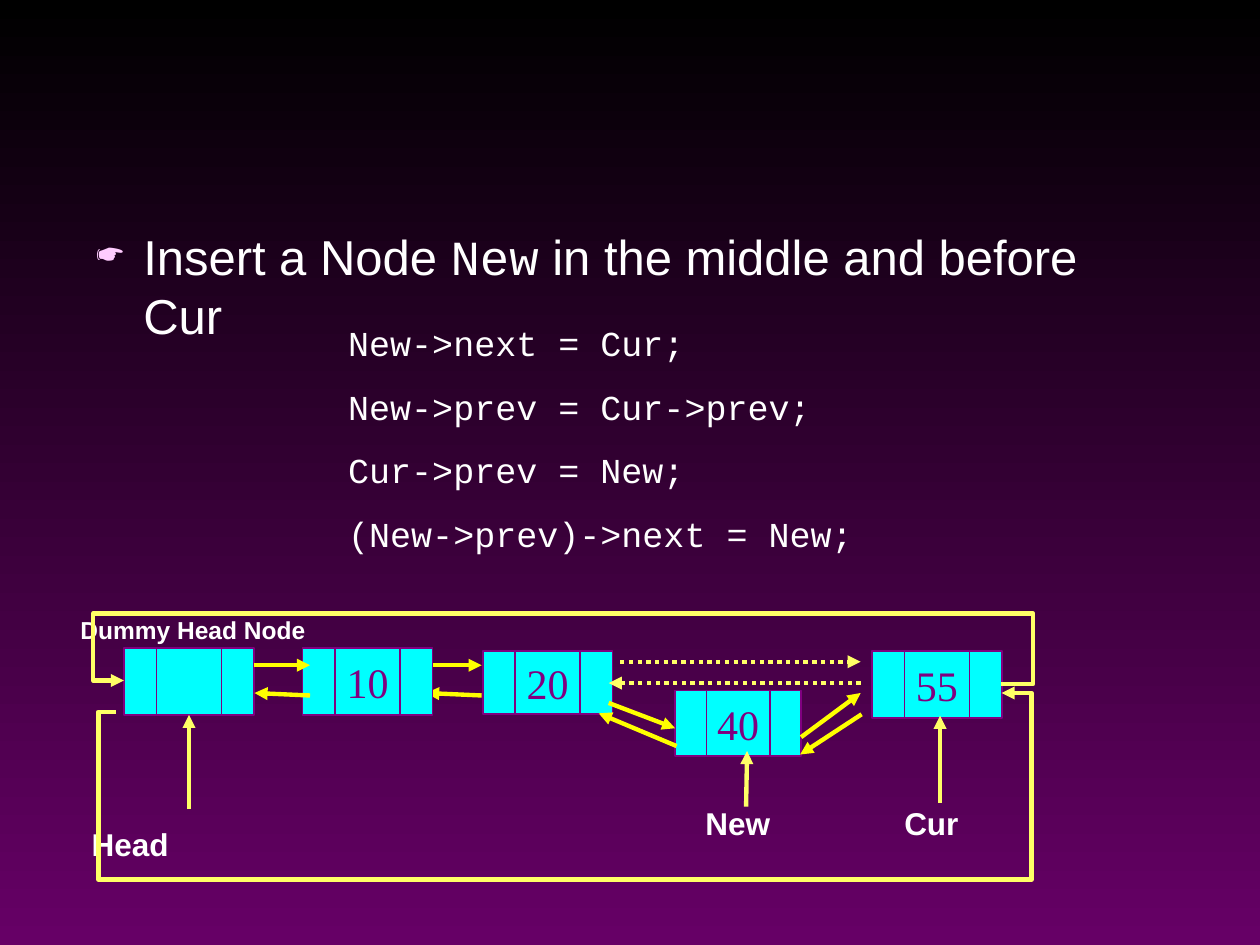
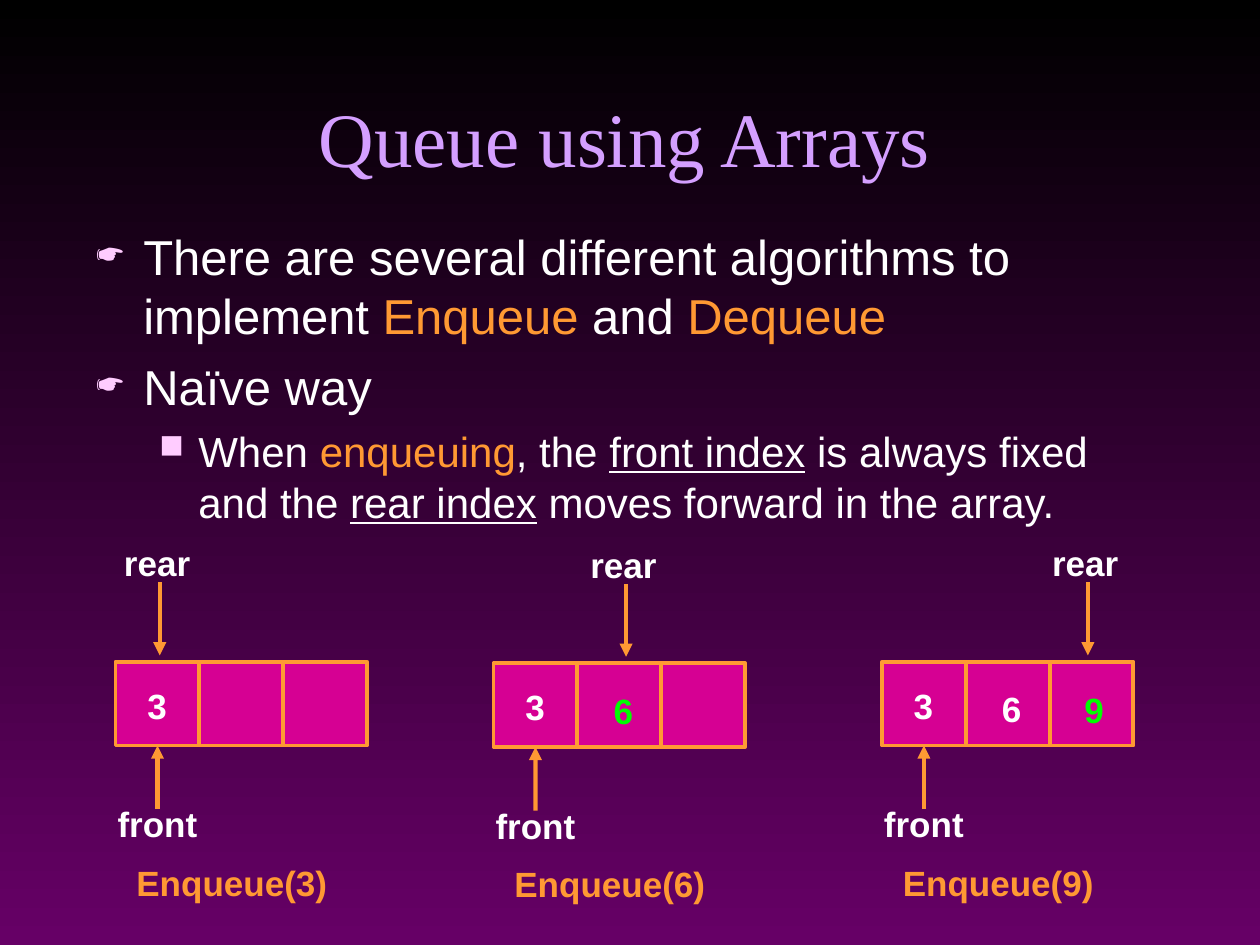
from lxml import etree
from pptx import Presentation
from pptx.dml.color import RGBColor
from pptx.enum import dml, shapes, text
from pptx.oxml import ns
from pptx.util import Cm, Pt

BLACK = RGBColor(0x00, 0x00, 0x00)
PLUM = RGBColor(0x66, 0x00, 0x66)
WHITE = RGBColor(0xFF, 0xFF, 0xFF)
LILAC = RGBColor(0xD4, 0x9F, 0xFF)
PINK = RGBColor(0xFF, 0xCC, 0xFF)
CYAN = RGBColor(0x00, 0xFF, 0xFF)
PURPLE = RGBColor(0x80, 0x00, 0x80)
YELLOW = RGBColor(0xFF, 0xFF, 0x00)
PALE_YELLOW = RGBColor(0xFF, 0xFF, 0x66)
MAGENTA = RGBColor(0xD6, 0x00, 0x93)
ORANGE = RGBColor(0xFF, 0x99, 0x33)
GREEN = RGBColor(0x00, 0xFF, 0x00)

SANS, SERIF, MONO = "Arial", "Times New Roman", "Courier New"
TITLE = {"name": SERIF, "size": Pt(44), "color": LILAC}
CODE = {"name": MONO, "size": Pt(20), "color": WHITE}
NODE_TEXT = {"name": SERIF, "size": Pt(24), "color": PURPLE}
LABEL = {"name": SANS, "size": Pt(18), "color": WHITE, "bold": True}
SMALL_LABEL = {**LABEL, "size": Pt(14)}
QUEUE_LABEL = {**LABEL, "size": Pt(20)}
CAPTION = {**QUEUE_LABEL, "color": ORANGE}
KEYWORD = {"color": ORANGE}
UNDERLINED = {"underline": True}

# Font size, space before, left margin, hanging indent, bullet, bullet size
BULLET_LEVELS = [
    (28, 7, 0.95, 0.95, "☛", 75),
    (24, 6, 2.06, 0.79, "■", 80),
]


def add_page(deck):
    page = deck.slides.add_slide(deck.slide_layouts[6])
    fill = page.background.fill
    fill.gradient()
    fill.gradient_angle = 270
    for stop, color in zip(fill.gradient_stops, (BLACK, PLUM)):
        stop.color.rgb = color
    return page


def add_span(para, words, formats):
    span = para.add_run()
    span.text = words
    for name, value in formats.items():
        if name == "color":
            span.font.color.rgb = value
        else:
            setattr(span.font, name, value)


def add_text(page, left, top, width, height, lines=(), formats=None, gap=0):
    """Add a wrapping text box with one paragraph per line."""
    box = page.shapes.add_textbox(Cm(left), Cm(top), Cm(width), Cm(height))
    frame = box.text_frame
    frame.word_wrap = True
    for index, line in enumerate(lines):
        para = frame.add_paragraph() if index else frame.paragraphs[0]
        if index:
            para.space_before = Pt(gap)
        add_span(para, line, formats)
    return frame


def add_title(page, words):
    frame = add_text(page, 1.69, 0.64, 21.8, 3.18, [words], TITLE)
    frame.vertical_anchor = text.MSO_ANCHOR.BOTTOM
    frame.paragraphs[0].alignment = text.PP_ALIGN.CENTER


def add_bullets(page, height, items):
    """Each item is a level and a list of (words, special formats)."""
    frame = add_text(page, 1.69, 4.44, 21.8, height)
    for index, (level, spans) in enumerate(items):
        size, gap, margin, hanging, mark, percent = BULLET_LEVELS[level]
        para = frame.add_paragraph() if index else frame.paragraphs[0]
        para.level = level
        if index:
            para.space_before = Pt(gap)
        props = para._p.get_or_add_pPr()
        props.set("marL", str(Cm(margin)))
        props.set("indent", str(-Cm(hanging)))
        color = etree.SubElement(props, ns.qn("a:buClr"))
        etree.SubElement(color, ns.qn("a:srgbClr"), val=str(PINK))
        etree.SubElement(props, ns.qn("a:buSzPct"), val=str(percent * 1000))
        etree.SubElement(props, ns.qn("a:buChar"), char=mark)
        base = {"name": SANS, "size": Pt(size), "color": WHITE}
        for words, special in spans:
            add_span(para, words, {**base, **special})


def add_cell(page, left, top, width, height, fill, line, weight):
    cell = page.shapes.add_shape(shapes.MSO_SHAPE.RECTANGLE, Cm(left), Cm(top),
                                 Cm(width), Cm(height))
    cell.shadow.inherit = False
    cell.fill.solid()
    cell.fill.fore_color.rgb = fill
    cell.line.color.rgb = line
    cell.line.width = Pt(weight)
    return cell


def add_arrow(page, start, end, color, dotted=False,
              kind=shapes.MSO_CONNECTOR.STRAIGHT):
    points = [Cm(value) for value in (*start, *end)]
    arrow = page.shapes.add_connector(kind, *points)
    arrow.line.color.rgb = color
    arrow.line.width = Pt(2.5)
    if dotted:
        arrow.line.dash_style = dml.MSO_LINE.ROUND_DOT
    etree.SubElement(arrow.line._get_or_add_ln(), ns.qn("a:tailEnd"), type="triangle")
    etree.SubElement(arrow._element.spPr, ns.qn("a:effectLst"))
    return arrow


def add_loop(page, start, end, first_x, middle_y, last_x):
    """Add a five-part elbow arrow that runs round the list."""
    arrow = add_arrow(page, start, end, PALE_YELLOW, kind=shapes.MSO_CONNECTOR.ELBOW)
    props = arrow._element.spPr
    if start[0] < end[0]:
        # A half turn plus a horizontal flip equals the vertical flip
        frame = props.find(ns.qn("a:xfrm"))
        frame.attrib.pop("flipV", None)
        frame.set("rot", "10800000")
        frame.set("flipH", "1")
    geometry = props.find(ns.qn("a:prstGeom"))
    geometry.set("prst", "bentConnector5")
    guides = geometry.find(ns.qn("a:avLst"))
    bends = [(first_x, 0), (middle_y, 1), (last_x, 0)]
    for number, (place, axis) in enumerate(bends, 1):
        share = (place - start[axis]) / (end[axis] - start[axis])
        etree.SubElement(guides, ns.qn("a:gd"), name=f"adj{number}",
                         fmla=f"val {round(share * 100000)}")


def add_node(page, left, top, value="", width=2.62, height=1.35):
    """Add a list node of two link cells round a value cell, and return the latter."""
    quarter = width / 4
    middle = add_cell(page, left + quarter, top, 2 * quarter, height, CYAN, PURPLE, 1)
    for offset in (0, 3 * quarter):
        add_cell(page, left + offset, top, quarter, height, CYAN, PURPLE, 1)
    if value:
        frame = middle.text_frame
        frame.word_wrap = False
        frame.vertical_anchor = text.MSO_ANCHOR.MIDDLE
        frame.paragraphs[0].alignment = text.PP_ALIGN.CENTER
        add_span(frame.paragraphs[0], value, NODE_TEXT)
    return middle


def add_link_pair(page, left, top):
    right = left + 1.12
    add_arrow(page, (left, top), (right, top), YELLOW)
    add_arrow(page, (right, top + 0.61), (left, top + 0.56), YELLOW)


def add_linked_list(page, left, top):
    def at(x, y):
        return left + x, top + y

    def label(x, y, width, words, formats=LABEL):
        add_text(page, *at(x, y), width, 1.02, [words], formats)

    add_node(page, *at(15.08, 0.78), "55")
    add_link_pair(page, *at(6.09, 1.06))
    add_node(page, *at(3.6, 0.71), "10")
    dummy = add_node(page, *at(0, 0.71))
    add_link_pair(page, *at(2.63, 1.06))
    label(-0.9, 4.16, 3.96, "Head")
    head = add_arrow(page, at(1.31, 3.96), at(1.31, 2.06), PALE_YELLOW)
    head.end_connect(dummy, 2)
    label(-1.13, -0.08, 6.96, "Dummy Head Node", SMALL_LABEL)

    add_loop(page, at(17.69, 1.44), at(0, 1.37), left + 18.33, top + 0.02, left - 0.62)
    add_loop(page, at(-0.16, 2), at(17.69, 1.62), left - 0.52, top + 5.38, left + 18.3)

    add_node(page, *at(7.23, 0.78), "20", height=1.27)
    add_arrow(page, at(10, 0.99), at(14.85, 0.99), PALE_YELLOW, dotted=True)
    add_arrow(page, at(14.85, 1.42), at(9.77, 1.42), PALE_YELLOW, dotted=True)
    add_node(page, *at(11.11, 1.57), "40", 2.54, 1.32)
    new_links = [
        ((9.77, 1.82), (11.11, 2.33)),
        ((11.14, 2.69), (9.57, 2.03)),
        ((13.65, 2.51), (14.85, 1.62)),
        ((14.87, 2.05), (13.63, 2.86)),
    ]
    for start, end in new_links:
        add_arrow(page, at(*start), at(*end), YELLOW)

    label(15.48, 3.73, 2.21, "Cur")
    add_arrow(page, at(16.45, 3.83), at(16.45, 2.08), PALE_YELLOW)
    label(11.47, 3.73, 3.02, "New")
    add_arrow(page, at(12.54, 3.91), at(12.56, 2.79), PALE_YELLOW)


def add_queue(page, left, top, values, rear):
    """Draw a three-cell queue after its last value has been added."""
    side = 1.69
    cells = [add_cell(page, left + side * index, top, side, side, MAGENTA, ORANGE, 2.25)
             for index in range(3)]
    middle = left + side / 2
    add_text(page, left - 0.21, top + 2.72, 2.74, 1.12, ["front"], QUEUE_LABEL)
    front = add_arrow(page, (middle, top + 2.97), (middle, top + side), ORANGE)
    front.end_connect(cells[0], 2)
    pointer = left + rear
    add_text(page, pointer - 0.97, top - 2.54, 2.74, 1.12, ["rear"], QUEUE_LABEL)
    add_arrow(page, (pointer, top - 1.6), (pointer, top - 0.13), ORANGE)
    add_text(page, left + 0.17, top + 3.9, 4.9, 1.12, [f"Enqueue({values[-1]})"], CAPTION)
    offsets = [(0.39, 0.33), (2.17, 0.4), (3.83, 0.41)]
    for index, (value, (x, y)) in enumerate(zip(values, offsets)):
        newest = 0 < index == len(values) - 1
        formats = {**QUEUE_LABEL, "color": GREEN if newest else WHITE}
        add_text(page, left + x, top + y, 0.84, 1.12, [value], formats)


def build_insert_page(deck):
    page = add_page(deck)
    add_bullets(page, 11.43, [
        (0, [("Insert a Node ", {}), ("New", {"name": MONO}),
             (" in the middle and before Cur", {})]),
    ])
    add_text(page, 6.77, 6.35, 12.7, 4.98, [
        "New->next = Cur;",
        "New->prev = Cur->prev;",
        "Cur->prev = New;",
        "(New->prev)->next = New;",
    ], CODE, gap=12.5)
    add_linked_list(page, 2.5, 12.35)


def build_queue_page(deck):
    page = add_page(deck)
    add_title(page, "Queue using Arrays")
    add_bullets(page, 6.99, [
        (0, [("There are several different algorithms to implement ", {}),
             ("Enqueue", KEYWORD), (" and ", {}), ("Dequeue", KEYWORD)]),
        (0, [("Naïve way", {})]),
        (1, [("When ", {}), ("enqueuing", KEYWORD), (", the ", {}),
             ("front index", UNDERLINED), (" is always fixed and the ", {}),
             ("rear index", UNDERLINED), (" moves forward in the array.", {})]),
    ])
    add_queue(page, 2.33, 13.34, "3", 0.89)
    add_queue(page, 9.95, 13.37, "36", 2.67)
    add_queue(page, 17.78, 13.34, "369", 4.15)


def main():
    deck = Presentation()
    deck.slide_width, deck.slide_height = Cm(25.4), Cm(19.05)
    build_insert_page(deck)
    build_queue_page(deck)
    deck.save("out.pptx")


if __name__ == "__main__":
    main()
